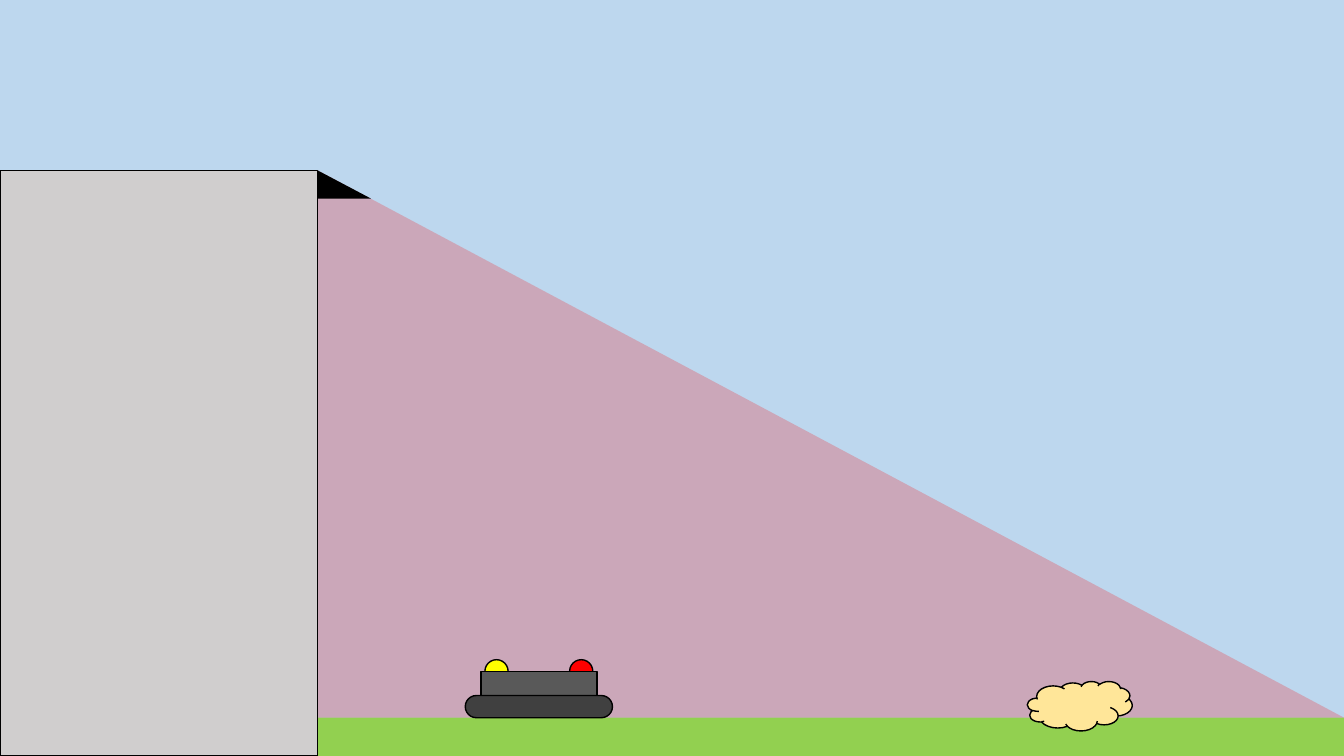
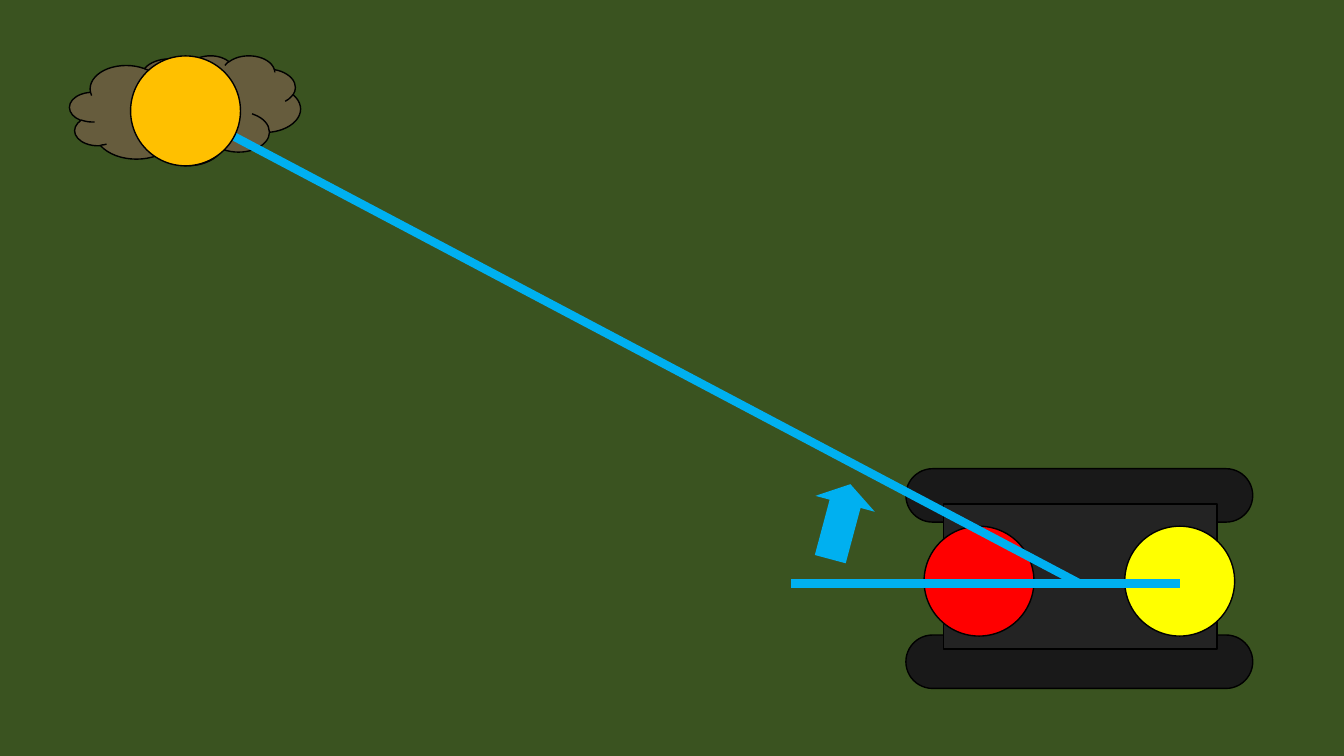
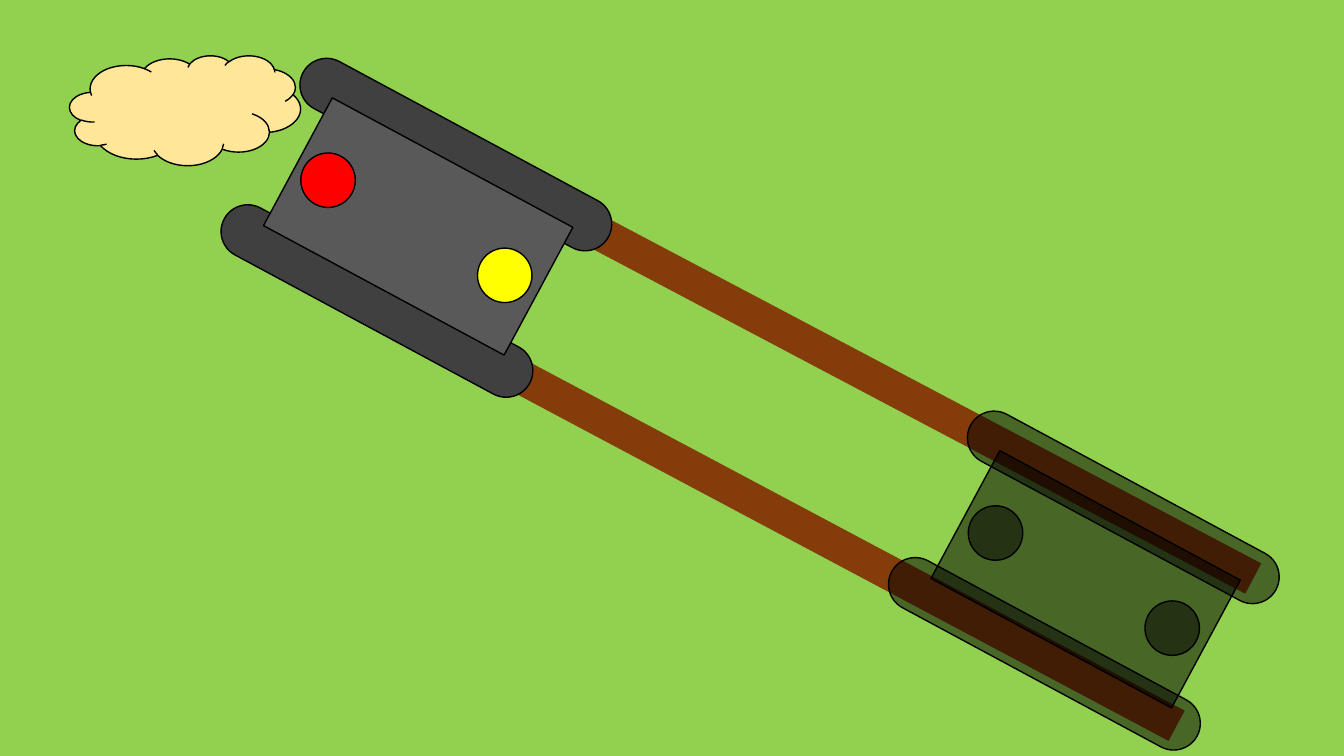
from dataclasses import dataclass
from math import cos, radians, sin

from lxml import etree
from pptx import Presentation
from pptx.dml.color import RGBColor
from pptx.enum.shapes import MSO_CONNECTOR, MSO_SHAPE
from pptx.oxml.ns import qn
from pptx.util import Inches, Pt

RECT = MSO_SHAPE.RECTANGLE
PILL = MSO_SHAPE.ROUNDED_RECTANGLE
CIRCLE = MSO_SHAPE.OVAL
CLOUD = MSO_SHAPE.CLOUD
SLOPE = MSO_SHAPE.RIGHT_TRIANGLE
ARROW = MSO_SHAPE.RIGHT_ARROW
STRAIGHT = MSO_CONNECTOR.STRAIGHT

SLIDE_W, SLIDE_H = 13.33, 7.5
FULL = (0, 0, SLIDE_W, SLIDE_H)


@dataclass(frozen=True)
class Theme:
    sky: str = "BDD7EE"
    grass: str = "92D050"
    wall: str = "D0CECE"
    dust: str = "FFE699"
    body: str = "595959"
    wheel: str = "404040"
    front: str = "FF0000"
    rear: str = "FFFF00"
    target: str = "FFC000"
    beam: str = "00B0F0"
    track: str = "843C0B"
    black: str = "000000"
    outline: float = 1
    beam_width: float = 6
    track_width: float = 24.5


THEME = Theme()


@dataclass(frozen=True)
class RobotColours:
    wheel: str = THEME.wheel
    body: str = THEME.body
    rear: str = THEME.rear
    front: str = THEME.front
    opacity: int = 100


LIVE = RobotColours()
GHOST = RobotColours(*[THEME.black] * 4, opacity=50)


def centred(x, y, width, height):
    return x - width / 2, y - height / 2, width, height


def draw(slide, kind, box, fill, opacity=100, outlined=True, turn=0, adjust=()):
    """Add a filled preset shape; opacity in percent, turn in degrees."""
    shape = slide.shapes.add_shape(kind, *map(Inches, box))
    shape.shadow.inherit = False
    shape.rotation = turn
    for index, value in enumerate(adjust):
        shape.adjustments[index] = value
    shape.fill.solid()
    shape.fill.fore_color.rgb = RGBColor.from_string(fill)
    if opacity < 100:
        colour = shape.element.spPr.find(qn("a:solidFill"))[0]
        etree.SubElement(colour, qn("a:alpha"), val=str(opacity * 1000))
    if outlined:
        shape.line.color.rgb = RGBColor.from_string(THEME.black)
        shape.line.width = Pt(THEME.outline)
    else:
        shape.line.fill.background()


def stroke(slide, start, end, colour, width):
    line = slide.shapes.add_connector(STRAIGHT, *map(Inches, (*start, *end)))
    line.line.color.rgb = RGBColor.from_string(colour)
    line.line.width = Pt(width)
    etree.SubElement(line.element.spPr, qn("a:effectLst"))


def backdrop(slide, colour, opacity=100):
    draw(slide, RECT, FULL, colour, opacity, outlined=False)


def dust_cloud(slide, box):
    draw(slide, CLOUD, box, THEME.dust)


def robot_from_side(slide, middle, ground):
    """Robot standing on the ground line, rear lamp on the left."""
    lamp, lamp_gap, deck = 0.23, 0.42, ground - 0.46
    for side, colour in ((-1, LIVE.rear), (1, LIVE.front)):
        draw(slide, CIRCLE, centred(middle + side * lamp_gap, deck, lamp, lamp), colour)
    draw(slide, RECT, (middle - 0.575, deck, 1.15, 0.39), LIVE.body)
    draw(slide, PILL, (middle - 0.73, ground - 0.22, 1.46, 0.22), LIVE.wheel,
         adjust=[0.5])


def robot_from_above(slide, centre, turn=0, colours=LIVE):
    """Robot around its centre, front lamp on the left before turning."""
    wheel_gap, lamp_gap = 0.825, 0.995
    wheel, body, lamp = (3.44, 0.53), (2.71, 1.44), (0.54, 0.54)
    parts = (
        (PILL, 0, -wheel_gap, wheel, colours.wheel, [0.5]),
        (PILL, 0, wheel_gap, wheel, colours.wheel, [0.5]),
        (RECT, 0.01, -0.02, body, colours.body, []),
        (CIRCLE, lamp_gap, 0, lamp, colours.rear, []),
        (CIRCLE, -lamp_gap, 0, lamp, colours.front, []),
    )
    cosine, sine = cos(radians(turn)), sin(radians(turn))
    for kind, along, across, size, colour, adjust in parts:
        x = centre[0] + along * cosine - across * sine
        y = centre[1] + along * sine + across * cosine
        draw(slide, kind, centred(x, y, *size), colour, colours.opacity,
             turn=turn, adjust=adjust)


def camera_view_slide(slide):
    wall, roof, ground = 3.15, 1.69, 7.12
    field = SLIDE_W - wall
    backdrop(slide, THEME.sky)
    draw(slide, RECT, (wall, ground, field, SLIDE_H - ground), THEME.grass,
         outlined=False)
    draw(slide, SLOPE, (wall, roof, field, ground - roof), THEME.front, 22,
         outlined=False)
    draw(slide, SLOPE, (wall, roof, 0.53, 0.28), THEME.black, outlined=False)
    robot_from_side(slide, 5.345, ground)
    dust_cloud(slide, (10.19, 6.76, 1.04, 0.49))
    draw(slide, RECT, (0, roof, wall, SLIDE_H - roof), THEME.wall)


CLOUD_BOX = (0.69, 0.55, 2.29, 1.09)


def aiming_slide(slide):
    glow, glow_y, beam_y = 1.09, 5.765, 5.79
    front_x, rear_x = 9.71, 11.7
    target = (1.84, 1.1)
    backdrop(slide, THEME.grass)
    robot_from_above(slide, (10.705, 5.74))
    dust_cloud(slide, CLOUD_BOX)
    backdrop(slide, THEME.black, 60)
    draw(slide, CIRCLE, centred(front_x, glow_y, glow, glow), THEME.front)
    stroke(slide, target, (10.71, beam_y), THEME.beam, THEME.beam_width)
    draw(slide, CIRCLE, centred(*target, glow, glow), THEME.target)
    draw(slide, CIRCLE, centred(rear_x, glow_y, glow, glow), THEME.rear)
    stroke(slide, (rear_x, beam_y), (7.85, beam_y), THEME.beam, THEME.beam_width)
    draw(slide, ARROW, (7.95, 4.87, 0.77, 0.61), THEME.beam, outlined=False,
         turn=285, adjust=[0.52, 0.33])


def driving_slide(slide):
    heading = 28.3
    tracks = (((4.52, 1.56), (12.43, 5.74)), ((3.57, 2.89), (11.67, 7.2)))
    backdrop(slide, THEME.grass)
    for start, end in tracks:
        stroke(slide, start, end, THEME.track, THEME.track_width)
    dust_cloud(slide, CLOUD_BOX)
    robot_from_above(slide, (10.75, 5.76), heading, GHOST)
    robot_from_above(slide, (4.13, 2.26), heading)


def main():
    deck = Presentation()
    deck.slide_width, deck.slide_height = Inches(SLIDE_W), Inches(SLIDE_H)
    blank = deck.slide_layouts[6]
    for build in (camera_view_slide, aiming_slide, driving_slide):
        build(deck.slides.add_slide(blank))
    deck.save("out.pptx")


if __name__ == "__main__":
    main()
